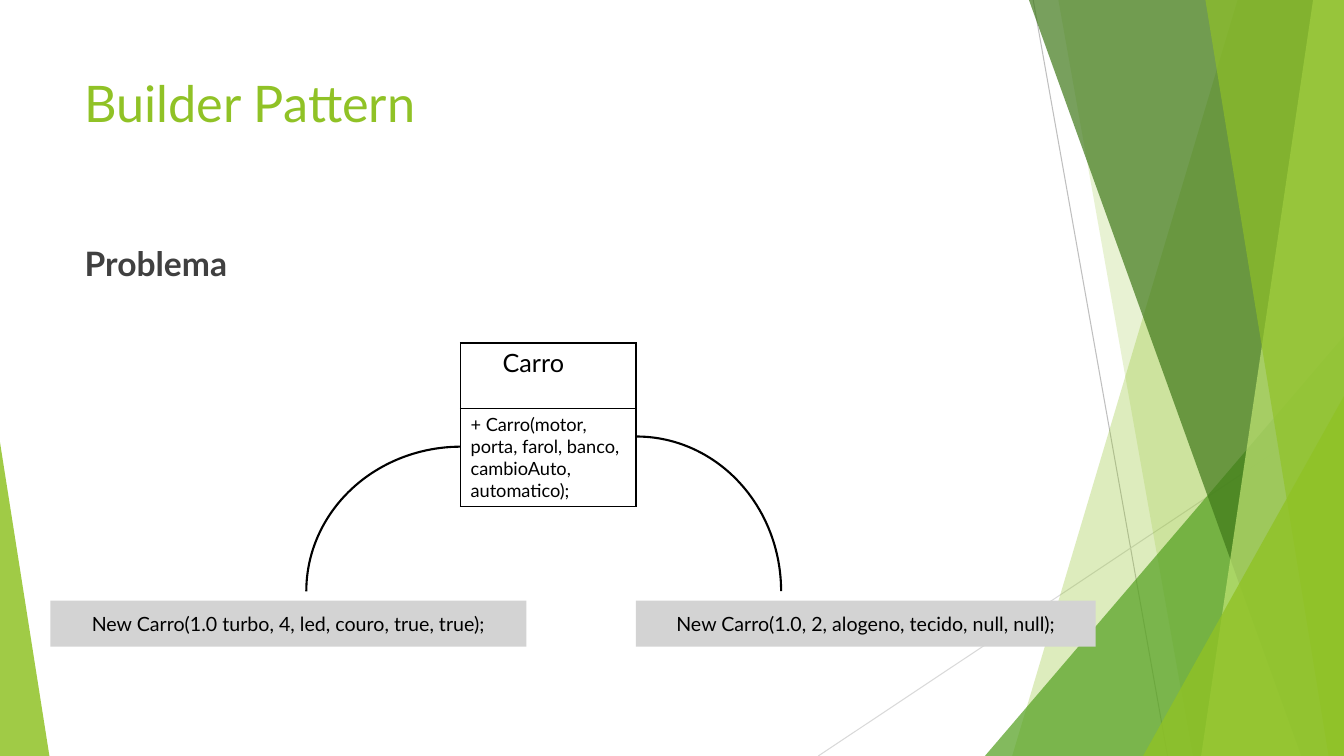
from dataclasses import dataclass

from pptx import Presentation
from pptx.dml.color import RGBColor
from pptx.enum.shapes import MSO_CONNECTOR, MSO_SHAPE
from pptx.enum.text import MSO_ANCHOR, MSO_AUTO_SIZE, PP_ALIGN
from pptx.oxml.ns import qn
from pptx.util import Pt
from lxml.etree import SubElement

WIDTH, HEIGHT = 960, 540
FONT = "Lato"
GREEN, BLACK, WHITE = "90C226", "000000", "FFFFFF"


@dataclass
class Ray:
    start: tuple[float, float]
    end: tuple[float, float]
    color: str


@dataclass
class Band:
    """Strip reaching the right edge, from a top x to a bottom x."""
    top: float
    bottom: float
    color: str
    opacity: int


@dataclass
class Wedge:
    left: float
    top: float
    width: float
    apex: float
    color: str
    opacity: int


@dataclass
class Call:
    left: float
    width: float
    text: str


@dataclass
class Arc:
    left: float
    rotation: float


RAYS = [Ray((738, 0), (834, 540), "BFBFBF"), Ray((960, 290), (584.5, 540), "D9D9D9")]
DECOR = [
    Band(884, 723, GREEN, 30),
    Band(756, 852, GREEN, 20),
    Wedge(703.5, 240, 256.5, 1, "54A021", 72),
    Band(735, 929.5, "3F7819", 70),
    Band(938, 858, "C0E474", 70),
    Band(861, 949, GREEN, 65),
    Wedge(816.5, 283, 143.5, 1, GREEN, 80),
    Wedge(0, 316, 35.3, 0, GREEN, 85),
]
ARCS = [Arc(351.4, 0), Arc(226, 270)]
CALLS = [
    Call(36, 340, "New Carro(1.0 turbo, 4, led, couro, true, true);"),
    Call(454.3, 328.3, "New Carro(1.0, 2, alogeno, tecido, null, null);"),
]


def rgb(color: str) -> RGBColor:
    return RGBColor.from_string(color)


def place(shape, left: float, top: float, width: float, height: float) -> None:
    shape.left, shape.top, shape.width, shape.height = map(Pt, (left, top, width, height))


def paint(shape, color: str, opacity: int = 100) -> None:
    shape.shadow.inherit = False
    shape.line.fill.background()
    shape.fill.solid()
    shape.fill.fore_color.rgb = rgb(color)
    if opacity < 100:
        tint = shape.element.find(f".//{qn('a:solidFill')}/{qn('a:srgbClr')}")
        SubElement(tint, qn("a:alpha"), val=str(opacity * 1000))


def write(frame, text: str, size: float, color: str, align=PP_ALIGN.LEFT, bold=False) -> None:
    frame.text = text
    para = frame.paragraphs[0]
    para.alignment = align
    font = para.runs[0].font
    font.name, font.size, font.bold = FONT, Pt(size), bold
    font.color.rgb = rgb(color)


def draw_ray(page, ray: Ray) -> None:
    line = page.shapes.add_connector(MSO_CONNECTOR.STRAIGHT, *map(Pt, ray.start + ray.end))
    line.line.color.rgb = rgb(ray.color)
    line.line.width = Pt(0.75)
    SubElement(line.element.spPr, qn("a:effectLst"))


def draw_band(page, band: Band) -> None:
    builder = page.shapes.build_freeform(Pt(band.top), 0)
    corners = [(WIDTH, 0), (WIDTH, HEIGHT), (band.bottom, HEIGHT)]
    builder.add_line_segments([(Pt(x), Pt(y)) for x, y in corners], close=True)
    paint(builder.convert_to_shape(), band.color, band.opacity)


def draw_wedge(page, wedge: Wedge) -> None:
    box = [wedge.left, wedge.top, wedge.width, HEIGHT - wedge.top]
    shape = page.shapes.add_shape(MSO_SHAPE.ISOSCELES_TRIANGLE, *map(Pt, box))
    shape.adjustments[0] = wedge.apex
    paint(shape, wedge.color, wedge.opacity)


def draw_arc(page, arc: Arc) -> None:
    shape = page.shapes.add_shape(MSO_SHAPE.ARC, *map(Pt, (arc.left, 311.8, 206.6, 221)))
    shape.rotation = arc.rotation
    shape.shadow.inherit = False
    shape.fill.background()
    shape.line.color.rgb = rgb(BLACK)
    shape.line.width = Pt(1.5)


def draw_call(page, call: Call) -> None:
    box = page.shapes.add_shape(MSO_SHAPE.RECTANGLE, *map(Pt, (call.left, 429, call.width, 33)))
    paint(box, "D3D3D3")
    box.text_frame.word_wrap = True
    box.text_frame.vertical_anchor = MSO_ANCHOR.MIDDLE
    write(box.text_frame, call.text, 14, BLACK, PP_ALIGN.CENTER)


def fill_cell(cell, text: str, size: float) -> None:
    write(cell.text_frame, text, size, BLACK)
    properties = cell._tc.get_or_add_tcPr()
    for side in ("lnL", "lnR", "lnT", "lnB"):
        border = SubElement(properties, qn(f"a:{side}"), w=str(Pt(1)))
        SubElement(SubElement(border, qn("a:solidFill")), qn("a:srgbClr"), val=BLACK)
    cell.fill.solid()
    cell.fill.fore_color.rgb = rgb(WHITE)


deck = Presentation()
deck.slide_width, deck.slide_height = Pt(WIDTH), Pt(HEIGHT)
page = deck.slides.add_slide(deck.slide_layouts[1])

# Green backdrop
for ray in RAYS:
    draw_ray(page, ray)
for part in DECOR:
    if isinstance(part, Band):
        draw_band(page, part)
    else:
        draw_wedge(page, part)

# Title and heading
title, body = page.placeholders
place(title, 53.3, 48, 676.8, 104)
write(title.text_frame, "Builder Pattern", 36, GREEN)
place(body, 53.3, 170, 676.8, 305.5)
write(body.text_frame, "Problema", 24, "404040", PP_ALIGN.JUSTIFY, bold=True)
for holder in (title, body):
    holder.text_frame.vertical_anchor = MSO_ANCHOR.TOP
    holder.text_frame.auto_size = MSO_AUTO_SIZE.NONE
heading = body.text_frame.paragraphs[0]
heading.space_before = Pt(10)
bullet = heading._p.get_or_add_pPr()
bullet.set("marL", "0")
bullet.set("indent", "0")
SubElement(bullet, qn("a:buNone"))

# Class box
class_box = page.shapes.add_table(2, 1, *map(Pt, (329, 245, 125.3, 116.6))).table
class_box.first_row = class_box.horz_banding = False
for row, height in zip(class_box.rows, (46.8, 69.8)):
    row.height = Pt(height)
fill_cell(class_box.cell(0, 0), "Carro", 18)
class_box.cell(0, 0).margin_left = Pt(30)
fill_cell(class_box.cell(1, 0), "+ Carro(motor, porta, farol, banco, cambioAuto, automatico);", 13)

# Constructor calls and the arcs leading to them
for arc in ARCS:
    draw_arc(page, arc)
for call in CALLS:
    draw_call(page, call)

deck.save("out.pptx")
